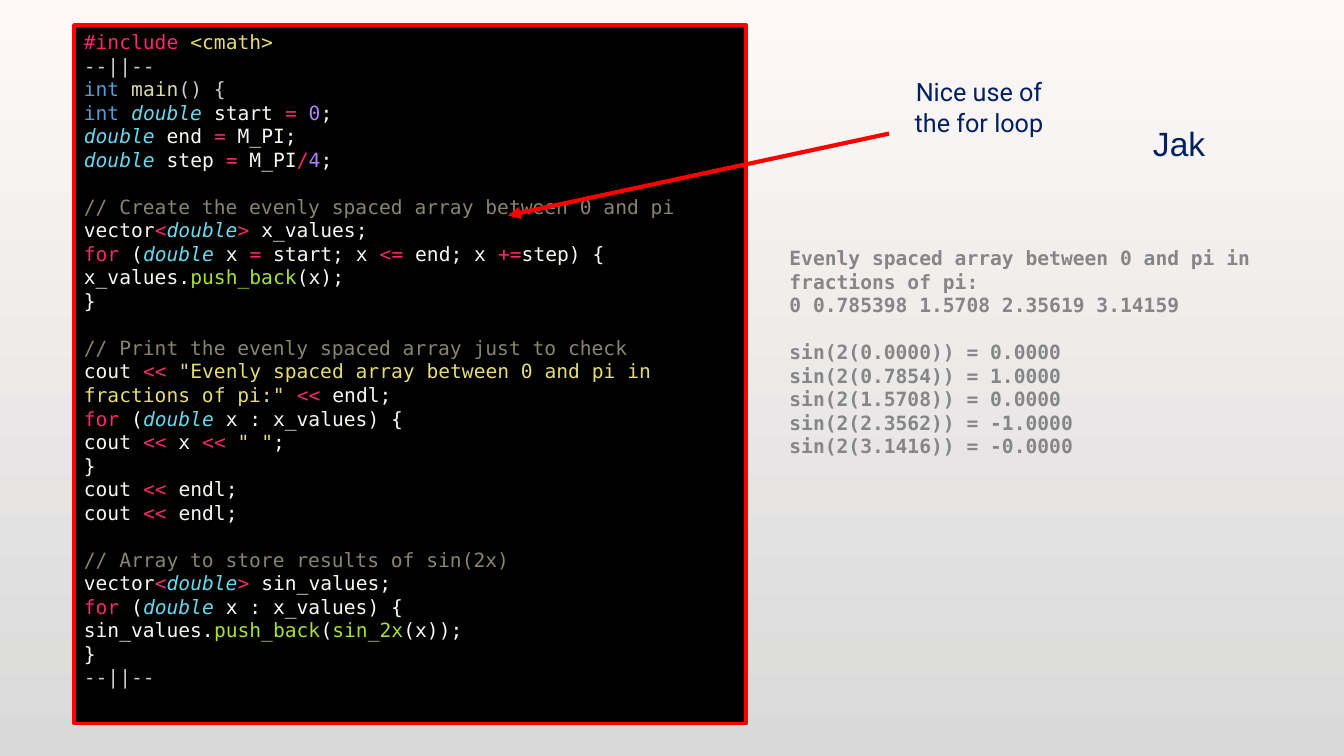
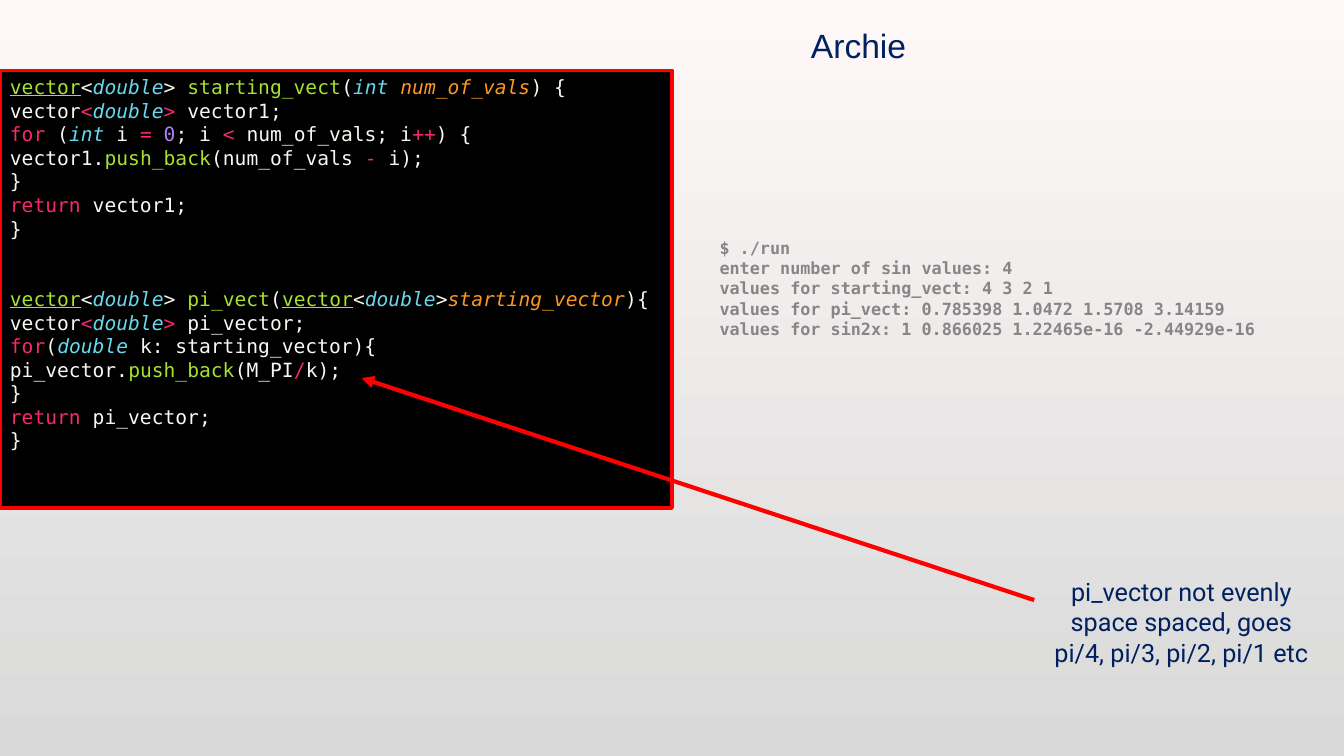
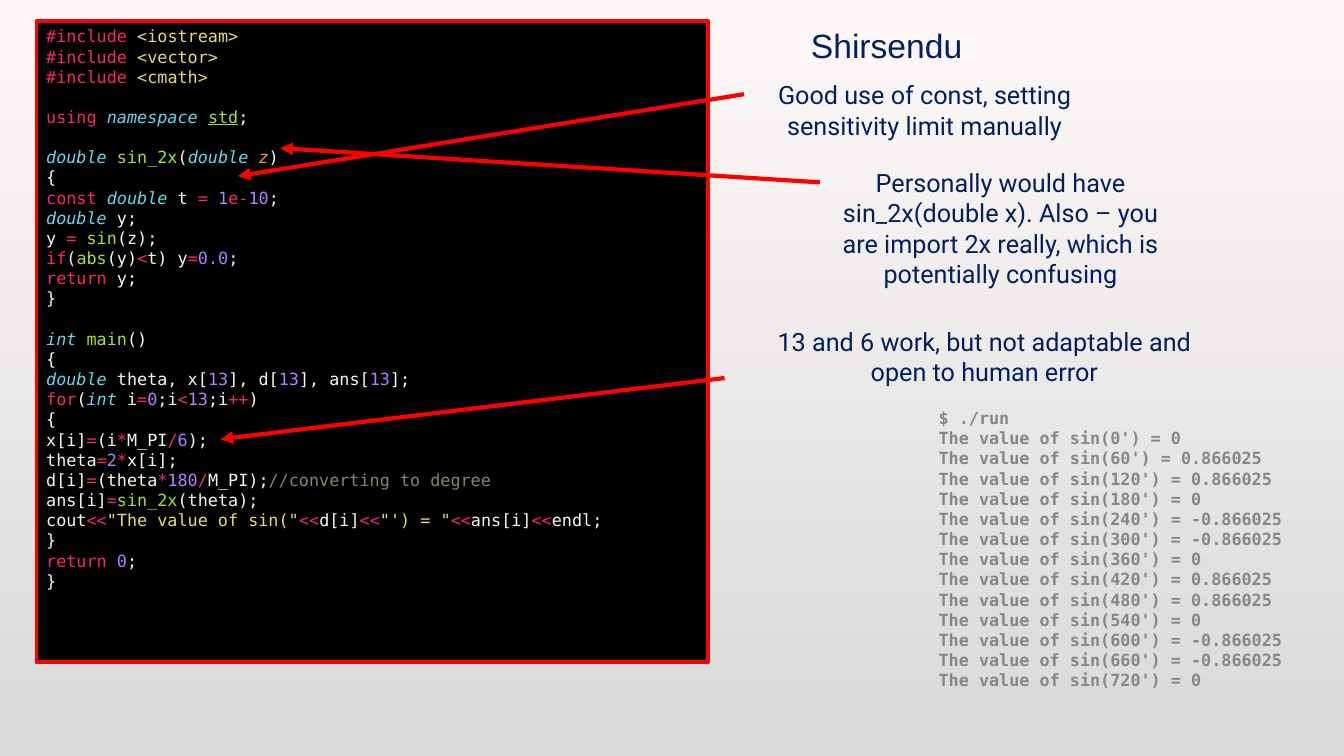
"""Build the code review slides: one student's program per slide, with feedback."""
from collections import namedtuple

from lxml.etree import SubElement
from pptx import Presentation
from pptx.dml.color import RGBColor
from pptx.enum.shapes import MSO_CONNECTOR, MSO_SHAPE
from pptx.enum.text import MSO_ANCHOR, PP_ALIGN
from pptx.oxml.ns import qn
from pptx.util import Inches, Pt

SLIDE_WIDTH, SLIDE_HEIGHT = Inches(13.333), Inches(7.5)
MONO, SANS, NAME_FONT = "DejaVu Sans Mono", "Roboto", "Arial"
LINE_HEIGHT = 1.2

PAGE_TOP = RGBColor(0xFE, 0xF9, 0xF8)
PAGE_BOTTOM = RGBColor(0xD9, 0xD9, 0xD9)
NAVY = RGBColor(0x00, 0x20, 0x60)
RED = RGBColor(0xFF, 0x00, 0x00)
BLACK = RGBColor(0x00, 0x00, 0x00)
GREY = RGBColor(0x86, 0x86, 0x86)
PLAIN = RGBColor(0xF8, 0xF8, 0xF2)
PINK = RGBColor(0xF9, 0x26, 0x72)
YELLOW = RGBColor(0xE6, 0xDB, 0x74)
GREEN = RGBColor(0xA6, 0xE2, 0x2E)
CYAN = RGBColor(0x66, 0xD9, 0xEF)
ORANGE = RGBColor(0xFD, 0x97, 0x1F)
PURPLE = RGBColor(0xAE, 0x81, 0xFF)
OLIVE = RGBColor(0x88, 0x84, 0x6F)
SILVER = RGBColor(0xCC, 0xCC, 0xCC)
BLUE = RGBColor(0x56, 0x9C, 0xD6)
CREAM = RGBColor(0xDC, 0xDC, 0xAA)

SYNTAX = {
    "w": (PLAIN, {}),
    "k": (PINK, {}),
    "s": (YELLOW, {}),
    "f": (GREEN, {}),
    "u": (GREEN, {"underline": True}),
    "t": (CYAN, {"italic": True}),
    "a": (ORANGE, {"italic": True}),
    "n": (PURPLE, {}),
    "c": (OLIVE, {}),
    "g": (SILVER, {}),
    "b": (BLUE, {}),
    "m": (CREAM, {}),
}

Box = namedtuple("Box", "left top width height")
Callout = namedtuple("Callout", "box text start tip")
Review = namedtuple("Review", "author author_at code code_box code_size "
                              "output output_box output_size callouts")

JAK_CODE = """\
~k#include ~s<cmath>
~g--||--
~bint ~mmain~g() {
~bint ~tdouble~w start ~k= ~n0~w;
~tdouble~w end ~k=~w M_PI;
~tdouble~w step ~k=~w M_PI~k/~n4~w;

~c// Create the evenly spaced array between 0 and pi
~wvector~k<~tdouble~k> ~wx_values;
~kfor~w (~tdouble~w x ~k=~w start; x ~k<=~w end; x ~k+=~wstep) {
~wx_values.~fpush_back~w(x);
~w}

~c// Print the evenly spaced array just to check
~wcout ~k<< ~s"Evenly spaced array between 0 and pi in fractions of pi:" ~k<< ~wendl;
~kfor~w (~tdouble~w x : x_values) {
~wcout ~k<<~w x ~k<< ~s" "~w;
~w}
~wcout ~k<< ~wendl;
~wcout ~k<< ~wendl;

~c// Array to store results of sin(2x)
~wvector~k<~tdouble~k> ~wsin_values;
~kfor~w (~tdouble~w x : x_values) {
~wsin_values.~fpush_back~w(~fsin_2x~w(x));
~w}
~g--||--"""

JAK_OUTPUT = """\
Evenly spaced array between 0 and pi in fractions of pi:
0 0.785398 1.5708 2.35619 3.14159

sin(2(0.0000)) = 0.0000
sin(2(0.7854)) = 1.0000
sin(2(1.5708)) = 0.0000
sin(2(2.3562)) = -1.0000
sin(2(3.1416)) = -0.0000"""

ARCHIE_CODE = """\
~uvector~w<~tdouble~w> ~fstarting_vect~w(~tint ~anum_of_vals~w) {
~wvector~k<~tdouble~k>~w vector1;
~kfor~w (~tint ~wi ~k= ~n0~w; i ~k< ~wnum_of_vals; i~k++~w) {
~wvector1.~fpush_back~w(num_of_vals ~k- ~wi);
~w}
~kreturn~w vector1;
~w}


~uvector~w<~tdouble~w> ~fpi_vect~w(~uvector~w<~tdouble~w>~astarting_vector~w){
~wvector~k<~tdouble~k> ~wpi_vector;
~kfor~w(~tdouble~w k: starting_vector){
~wpi_vector.~fpush_back~w(M_PI~k/~wk);
~w}
~kreturn ~wpi_vector;
~w}"""

ARCHIE_OUTPUT = """\
$ ./run
enter number of sin values: 4
values for starting_vect: 4 3 2 1
values for pi_vect: 0.785398 1.0472 1.5708 3.14159
values for sin2x: 1 0.866025 1.22465e-16 -2.44929e-16"""

SHIRSENDU_CODE = """\
~k#include ~s<iostream>
~k#include ~s<vector>
~k#include ~s<cmath>

~kusing ~tnamespace ~ustd~w;

~tdouble ~fsin_2x~w(~tdouble ~az~w)
~w{
~kconst ~tdouble~w t ~k= ~n1~ke-~n10~w;
~tdouble~w y;
~wy ~k= ~fsin~w(z);
~kif~w(~fabs~w(y)~k<~wt) y~k=~n0.0~w;
~kreturn~w y;
~w}

~tint ~fmain~w()
~w{
~tdouble~w theta, x[~n13~w], d[~n13~w], ans[~n13~w];
~kfor~w(~tint ~wi~k=~n0~w;i~k<~n13~w;i~k++~w)
~w{
~wx[i]~k=~w(i~k*~wM_PI~k/~n6~w);
~wtheta~k=~n2~k*~wx[i];
~wd[i]~k=~w(theta~k*~n180~k/~wM_PI);~c//converting to degree
~wans[i]~k=~fsin_2x~w(theta);
~wcout~k<<~s"The value of sin("~k<<~wd[i]~k<<~s"') = "~k<<~wans[i]~k<<~wendl;
~w}
~kreturn ~n0~w;
~w}"""

SINE_CYCLE = ("0", "0.866025", "0.866025", "0", "-0.866025", "-0.866025")
SHIRSENDU_OUTPUT = "\n".join(["$ ./run"] + [
    f"The value of sin({60 * step}') = {SINE_CYCLE[step % 6]}" for step in range(13)])

REVIEWS = (
    Review("Jak", (85.05, 15.6),
           JAK_CODE, Box(5.5, 3.3, 50, 92.4), 14,
           JAK_OUTPUT, Box(58, 31.9, 36.5, 29.6), 14,
           (Callout(Box(66.15, 9.5, 13.4, 9.5), "Nice use of the for loop",
                    (0, 0.86), (37.8, 28.5)),)),
    Review("Archie", (59.6, 2.7),
           ARCHIE_CODE, Box(0, 9.3, 50, 57.9), 14,
           ARCHIE_OUTPUT, Box(52.8, 30.8, 43.9, 14.8), 12,
           (Callout(Box(76.95, 75.6, 21.9, 13.5),
                    "pi_vector not evenly space spaced, goes pi/4, pi/3, pi/2, pi/1 etc",
                    (0, 0.28), (26.9, 50)),)),
    Review("Shirsendu", (59.6, 2.7),
           SHIRSENDU_CODE, Box(2.7, 2.8, 50, 84.8), 12,
           SHIRSENDU_OUTPUT, Box(69.1, 53.3, 30.9, 40), 12,
           (Callout(Box(55.35, 9.9, 26.9, 9.5),
                    "Good use of const, setting sensitivity limit manually",
                    (0, 0.27), (17.7, 23.3)),
            Callout(Box(61, 21.5, 26.9, 17.5),
                    "Personally would have sin_2x(double x). Also – you are import 2x "
                    "really, which is potentially confusing",
                    (0, 0.15), (20.85, 19.6)),
            Callout(Box(55.35, 42.5, 35.8, 9.5),
                    "13 and 6 work, but not adaptable and open to human error",
                    (-0.04, 0.79), (16.4, 58.1)))),
)


def point(across, down):
    """Turn percent shares of the slide into a position."""
    return int(SLIDE_WIDTH * across / 100), int(SLIDE_HEIGHT * down / 100)


def place(box):
    """Turn a box in percent shares into left, top, width and height."""
    return point(box.left, box.top) + point(box.width, box.height)


def apply_format(target, values):
    """Set every attribute named in values on the target."""
    for attribute, value in values.items():
        setattr(target, attribute, value)


def add_run(paragraph, text, color, font_format):
    """Append one formatted run to a paragraph."""
    run = paragraph.add_run()
    run.text = text
    apply_format(run.font, font_format)
    run.font.color.rgb = color


def spaced_paragraphs(frame, text, size):
    """Yield a paragraph with each filled line, empty lines becoming space before."""
    skipped, paragraph = 0, None
    for line in text.split("\n"):
        if not line:
            skipped += 1
            continue
        paragraph = frame.add_paragraph() if paragraph else frame.paragraphs[0]
        apply_format(paragraph, {"alignment": PP_ALIGN.LEFT,
                                 "space_before": Pt(skipped * size * LINE_HEIGHT)})
        skipped = 0
        yield paragraph, line


def text_region(slide, box):
    """Add a wrapping text box and return its frame."""
    frame = slide.shapes.add_textbox(*place(box)).text_frame
    frame.word_wrap = True
    return frame


def code_panel(slide, box, code, size):
    """Draw the black panel with highlighted code."""
    panel = slide.shapes.add_shape(MSO_SHAPE.RECTANGLE, *place(box))
    panel.shadow.inherit = False
    panel.fill.solid()
    panel.fill.fore_color.rgb = BLACK
    panel.line.color.rgb = RED
    panel.line.width = Pt(2.5)
    frame = panel.text_frame
    apply_format(frame, {"word_wrap": True, "vertical_anchor": MSO_ANCHOR.TOP})
    for paragraph, line in spaced_paragraphs(frame, code, size):
        for token in line.split("~")[1:]:
            color, emphasis = SYNTAX[token[0]]
            add_run(paragraph, token[1:], color,
                    {"name": MONO, "size": Pt(size), **emphasis})


def output_panel(slide, box, output, size):
    """Write what the program prints."""
    for paragraph, line in spaced_paragraphs(text_region(slide, box), output, size):
        add_run(paragraph, line, GREY, {"name": MONO, "size": Pt(size), "bold": True})


def author_name(slide, box, author):
    """Write the name of the code's author."""
    add_run(text_region(slide, box).paragraphs[0], author, NAVY,
            {"name": NAME_FONT, "size": Pt(24)})


def feedback(slide, box, text, start, tip):
    """Write a comment and point an arrow from its box to the code."""
    tail = point(box.left + start[0] * box.width, box.top + start[1] * box.height)
    arrow = slide.shapes.add_connector(MSO_CONNECTOR.STRAIGHT, *tail, *point(*tip))
    arrow.line.color.rgb = RED
    arrow.line.width = Pt(3)
    properties = arrow.element.spPr
    SubElement(properties.find(qn("a:ln")), qn("a:tailEnd"), type="triangle")
    SubElement(properties, qn("a:effectLst"))
    paragraph = text_region(slide, box).paragraphs[0]
    paragraph.alignment = PP_ALIGN.CENTER
    add_run(paragraph, text, NAVY, {"name": SANS, "size": Pt(18)})


def review_slide(deck, review):
    """Add the slide for one student's program."""
    slide = deck.slides.add_slide(deck.slide_layouts[6])
    code_panel(slide, review.code_box, review.code, review.code_size)
    output_panel(slide, review.output_box, review.output, review.output_size)
    author_name(slide, Box(*review.author_at, 13, 6.7), review.author)
    for callout in review.callouts:
        feedback(slide, *callout)


def page_background(deck):
    """Give the slide master its vertical gradient."""
    fill = deck.slide_master.background.fill
    fill.gradient()
    fill.gradient_angle = 270
    for stop, color, position in zip(fill.gradient_stops, (PAGE_TOP, PAGE_BOTTOM), (0, 1)):
        stop.color.rgb = color
        stop.position = position


def main():
    """Build and save the deck."""
    deck = Presentation()
    apply_format(deck, {"slide_width": SLIDE_WIDTH, "slide_height": SLIDE_HEIGHT})
    page_background(deck)
    for review in REVIEWS:
        review_slide(deck, review)
    deck.save("out.pptx")


if __name__ == "__main__":
    main()
